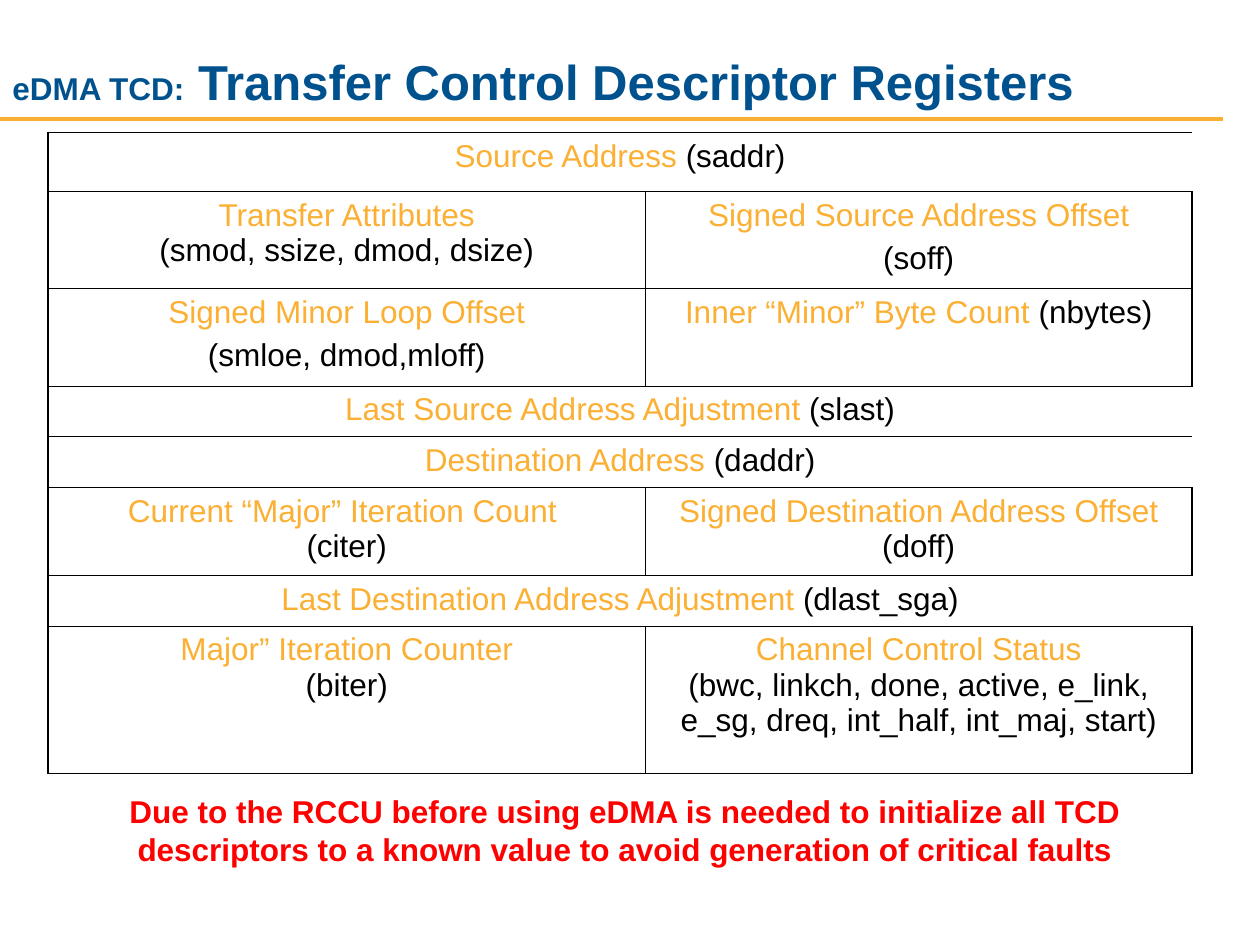
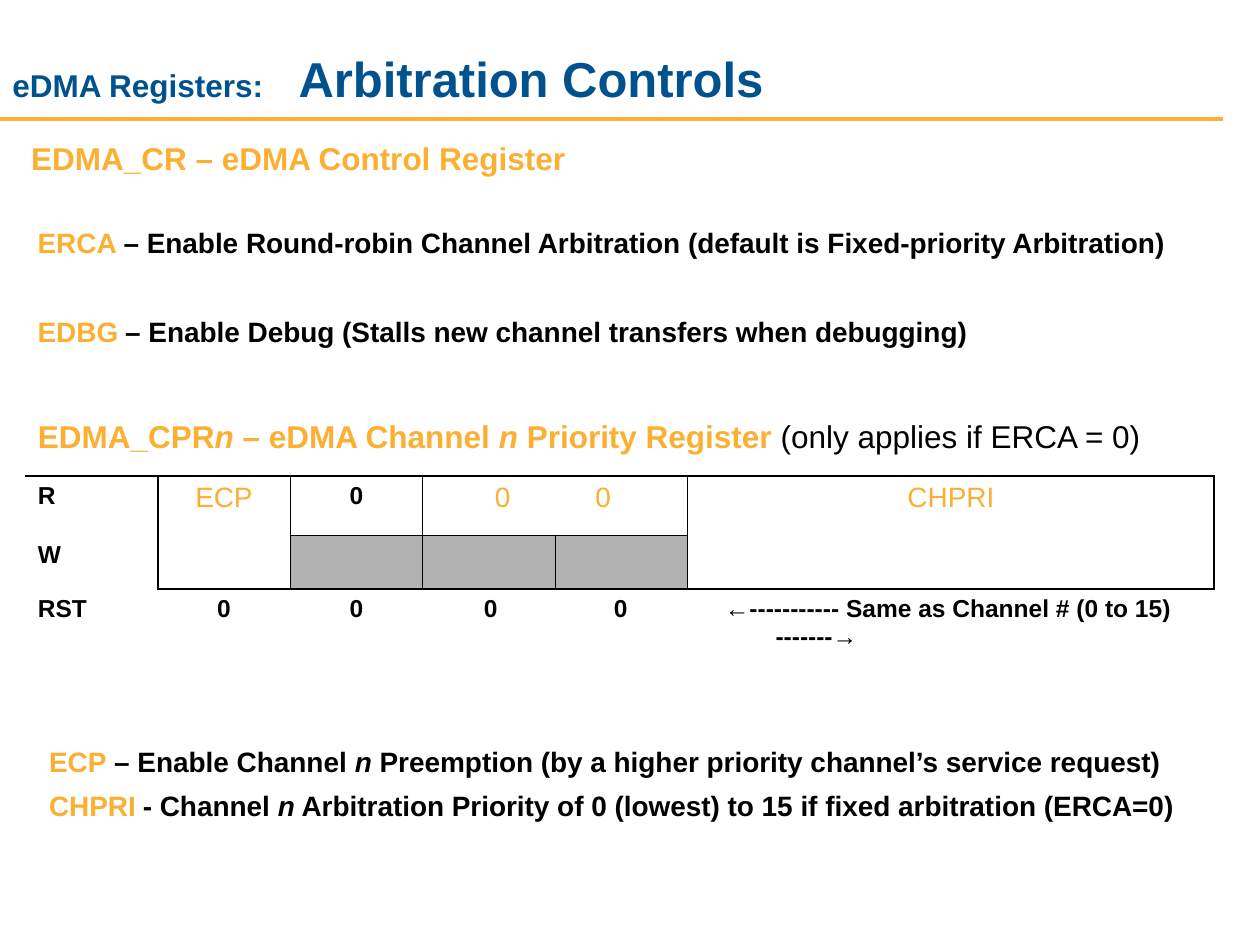
from lxml import etree
from pptx import Presentation
from pptx import util as u
from pptx.dml.color import RGBColor
from pptx.enum import shapes, text
from pptx.oxml import ns

Cm, Pt = u.Cm, u.Pt
FONT = "Arial"
COLORS = {"title": "00528E", "accent": "FBB034", "body": "000000",
          "warning": "FF0000", "reserved": "B2B2B2"}
CENTER = {"alignment": text.PP_ALIGN.CENTER}
THIN, THICK = 0.45, 1.08
WIDTHS = {"0": 0, "1": THIN, "2": THICK}

# A run is (text, size, colour, flags), with b for bold and i for italic.
# A paragraph is (runs, format values); "tabs" holds tab stops in cm.
TCD_TITLE = [("eDMA TCD:", 18, "title", "b"),
             (" Transfer Control Descriptor Registers", 28, "title", "b")]
ARBITRATION_TITLE = [("eDMA Registers:", 18, "title", "b"),
                     ("\t", 36, "title", "b"),
                     ("Arbitration Controls", 28, "title", "b")]

# Row height and its fields: (name, what separates it from the codes, codes)
SAME, BREAK, PARAGRAPH = " ", "\v", "\n"
TCD_COLS = [12.04, 11.02]
TCD_ROWS = [
    (1.19, [("Source Address", SAME, "(saddr)")]),
    (1.96, [("Transfer Attributes", BREAK, "(smod, ssize, dmod, dsize)"),
            ("Signed Source Address Offset", PARAGRAPH, "(soff)")]),
    (1.96, [("Signed Minor Loop Offset", PARAGRAPH, "(smloe, dmod,mloff)"),
            ("Inner “Minor” Byte Count", SAME, "(nbytes)")]),
    (1.02, [("Last Source Address Adjustment", SAME, "(slast)")]),
    (1.02, [("Destination Address", SAME, "(daddr)")]),
    (1.78, [("Current “Major” Iteration Count ", BREAK, "(citer)"),
            ("Signed Destination Address Offset", BREAK, "(doff)")]),
    (1.02, [("Last Destination Address Adjustment", SAME, "(dlast_sga)")]),
    (2.97, [("Major” Iteration Counter", BREAK, "(biter)"),
            ("Channel Control Status", BREAK,
             "(bwc, linkch, done, active, e_link, e_sg, dreq, int_half, int_maj, start)")]),
]
WARNING = [([("Due to the RCCU before using eDMA is needed to initialize all TCD "
              "descriptors to a known value to avoid generation of critical faults",
              18, "warning", "b")], CENTER)]

CONTROL_HEADING = [([("EDMA_CR – eDMA Control Register", 18, "accent", "b")], {})]
CONTROL_BITS = [
    ([("ERCA ", 16, "accent", "b"),
      ("– Enable Round-robin Channel Arbitration (default is Fixed-priority Arbitration)",
       16, "body", "b")], {"space_after": Pt(32)}),
    ([("EDBG", 16, "accent", "b"), (" ", 14, "body", "b"),
      ("– Enable Debug (Stalls new channel transfers when debugging)", 16, "body", "b")], {}),
]
PRIORITY_BITS = [
    ([("ECP", 16, "accent", "b"), (" – Enable Channel ", 16, "body", "b"),
      ("n ", 16, "body", "bi"),
      ("Preemption (by a higher priority channel’s service request)", 16, "body", "b")],
     {"space_after": Pt(6)}),
    ([("CHPRI", 16, "accent", "b"), (" ", 14, "body", "b"), ("- Channel ", 16, "body", "b"),
      ("n", 16, "body", "bi"),
      (" Arbitration Priority of 0 (lowest) to 15 if fixed arbitration (ERCA=0)",
       16, "body", "b")], {}),
]


def label(words, **values):
    return [([(words, 14, "body", "b")], values)]


def field(words, **values):
    return [([(words, 16, "accent", "")], values)]


PRIORITY_HEADING = [([("EDMA_CPR", 18, "accent", "b"), ("n", 18, "accent", "bi"),
                      (" – eDMA Channel ", 18, "accent", "b"), ("n", 18, "accent", "bi"),
                      (" Priority Register", 18, "accent", "b"),
                      (" (only applies if ERCA = 0)", 18, "body", "")], {})]
RESET_VALUES = (label("\t0\t0\t←----------- Same as Channel # (0 to 15)", tabs=[0.98, 3.6, 5.84])
                + label("\t-------→", tabs=[6.86]))
PRIORITY_COLS = [2.67] * 5 + [10.62]
PRIORITY_ROWS = [1.27, 1.19, 1.09, 1.7]
# (row, column, rows spanned, columns spanned, left-right-top-bottom borders, text, fill)
PRIORITY_CELLS = [
    (0, 0, 1, 6, "0002", PRIORITY_HEADING, None),
    (1, 0, 1, 1, "0220", label("R"), None),
    (1, 1, 2, 1, "2122", field("ECP", **CENTER), None),
    (1, 2, 1, 1, "1121", label("0", **CENTER), None),
    (1, 3, 1, 2, "1121", field("\t0\t0", tabs=[1.2, 3.23]), None),
    (1, 5, 2, 1, "1222", field("CHPRI", **CENTER), None),
    (2, 0, 1, 1, "0200", label("W"), None),
    *[(2, c, 1, 1, "1112", [], "reserved") for c in (2, 3, 4)],
    (3, 0, 1, 1, "0000", label("RST"), None),
    *[(3, c, 1, 1, "0020", label("0", **CENTER), None) for c in (1, 2)],
    (3, 3, 1, 3, "0020", RESET_VALUES, None),
]


def rgb(name):
    return RGBColor.from_string(COLORS[name])


def set_tabs(p, stops):
    tabs = etree.SubElement(p._p.get_or_add_pPr(), ns.qn("a:tabLst"))
    for stop in stops:
        etree.SubElement(tabs, ns.qn("a:tab"), pos=str(Cm(stop)), algn="l")


def write(tf, paragraphs):
    for i, (runs, values) in enumerate(paragraphs):
        p = tf.add_paragraph() if i else tf.paragraphs[0]
        for name, value in values.items():
            if name == "tabs":
                set_tabs(p, value)
            else:
                setattr(p, name, value)
        for words, size, color, flags in runs:
            if words == BREAK:
                p.add_line_break()
                continue
            r = p.add_run()
            r.text = words
            formats = {"name": FONT, "size": Pt(size), "bold": "b" in flags,
                       "italic": "i" in flags}
            for name, value in formats.items():
                setattr(r.font, name, value)
            r.font.color.rgb = rgb(color)


def add_text(s, box, paragraphs, anchor=text.MSO_ANCHOR.TOP, wrap=True):
    tf = s.shapes.add_textbox(*map(Cm, box)).text_frame
    tf.word_wrap, tf.vertical_anchor = wrap, anchor
    write(tf, paragraphs)


def add_slide(prs, title, **values):
    """Add a blank slide with the shared title and the rule under it."""
    s = prs.slides.add_slide(prs.slide_layouts[6])
    rule = s.shapes.add_connector(shapes.MSO_CONNECTOR.STRAIGHT, 0, Cm(2.39), Cm(24.66), Cm(2.39))
    rule.line.color.rgb, rule.line.width = rgb("accent"), Pt(2.25)
    etree.SubElement(rule._element.spPr, ns.qn("a:effectLst"))
    add_text(s, (0, 0.43, 23.19, 1.91), [(title, values)], text.MSO_ANCHOR.BOTTOM)
    return s


def add_table(s, left, top, cols, rows):
    frame = s.shapes.add_table(len(rows), len(cols), Cm(left), Cm(top),
                               Cm(sum(cols)), Cm(sum(rows)))
    table = frame.table
    table.first_row = table.horz_banding = False
    for column, width in zip(table.columns, cols):
        column.width = Cm(width)
    for row, height in zip(table.rows, rows):
        row.height = Cm(height)
    return table


def set_borders(cell, widths):
    """Draw the left, right, top and bottom borders; a zero width draws none."""
    tcPr = cell._tc.get_or_add_tcPr()
    for side, width in zip("LRTB", widths):
        ln = etree.SubElement(tcPr, ns.qn("a:ln" + side), w=str(Pt(width)))
        if width:
            fill = etree.SubElement(ln, ns.qn("a:solidFill"))
            etree.SubElement(fill, ns.qn("a:srgbClr"), val=COLORS["body"])
        else:
            etree.SubElement(ln, ns.qn("a:noFill"))


def fill_cell(table, row, col, height, width, borders, paragraphs, fill=None):
    """Fill a cell or a merged block, with borders on its outer sides only."""
    bottom, right = row + height - 1, col + width - 1
    origin = table.cell(row, col)
    if height * width > 1:
        origin.merge(table.cell(bottom, right))
    for i in range(row, bottom + 1):
        for j in range(col, right + 1):
            cell = table.cell(i, j)
            outer = (j == col, j == right, i == row, i == bottom)
            set_borders(cell, [w if on else 0 for w, on in zip(borders, outer)])
            if fill:
                cell.fill.solid()
                cell.fill.fore_color.rgb = rgb(fill)
            else:
                cell.fill.background()
    write(origin.text_frame, paragraphs)


def register_text(name, separator, codes):
    first, second = (name, 18, "accent", ""), (codes, 18, "body", "")
    if separator == PARAGRAPH:
        return [([first], CENTER), ([second], {**CENTER, "space_before": Pt(4.5)})]
    return [([first, (separator, 18, "body", ""), second], CENTER)]


def descriptor_slide(prs):
    s = add_slide(prs, TCD_TITLE)
    table = add_table(s, 0.97, 2.67, TCD_COLS, [height for height, _ in TCD_ROWS])
    last = len(TCD_ROWS) - 1
    for i, (_, registers) in enumerate(TCD_ROWS):
        span = len(TCD_COLS) // len(registers)
        for j, register in enumerate(registers):
            on_edge = (j == 0, j == len(registers) - 1, i == 0, i == last)
            borders = [THICK if edge else THIN for edge in on_edge]
            fill_cell(table, i, j, 1, span, borders, register_text(*register))
    add_text(s, (1.12, 15.85, 22.96, 1.78), WARNING)


def arbitration_slide(prs):
    s = add_slide(prs, ARBITRATION_TITLE, tabs=[5.77])
    add_text(s, (0.38, 2.67, 11.3, 1.02), CONTROL_HEADING, wrap=False)
    add_text(s, (0.51, 4.42, 24.54, 2.72), CONTROL_BITS)
    table = add_table(s, 0.51, 8.33, PRIORITY_COLS, PRIORITY_ROWS)
    for row, col, height, width, borders, paragraphs, fill in PRIORITY_CELLS:
        fill_cell(table, row, col, height, width, [WIDTHS[b] for b in borders], paragraphs, fill)
    add_text(s, (0.74, 14.88, 24.31, 1.83), PRIORITY_BITS)


def main():
    prs = Presentation()
    prs.slide_width, prs.slide_height = Cm(25.4), Cm(19.05)
    descriptor_slide(prs)
    arbitration_slide(prs)
    prs.save("out.pptx")


if __name__ == "__main__":
    main()
